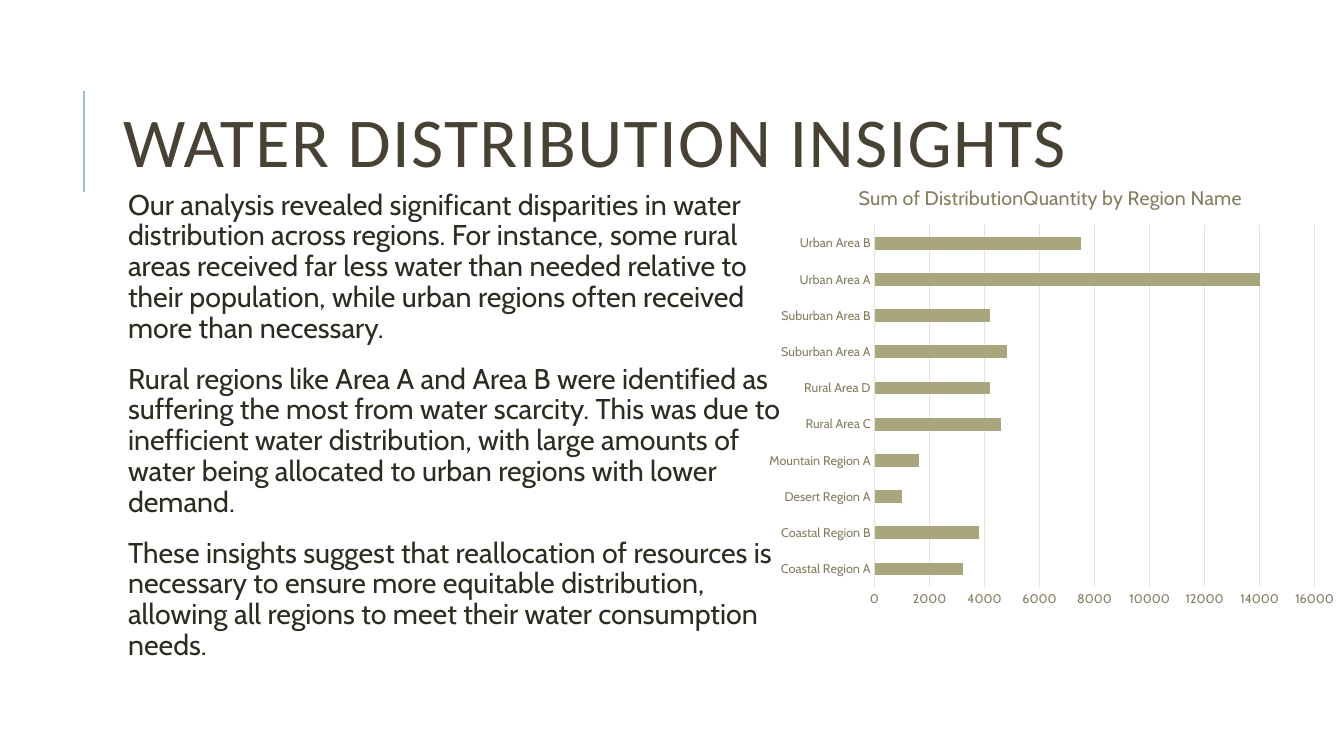
from dataclasses import dataclass

from lxml import etree
from pptx import Presentation
from pptx.chart.data import CategoryChartData
from pptx.dml.color import RGBColor
from pptx.enum.chart import XL_CHART_TYPE, XL_TICK_MARK
from pptx.enum.shapes import MSO_CONNECTOR
from pptx.enum.text import MSO_ANCHOR, MSO_AUTO_SIZE, PP_ALIGN
from pptx.oxml import parse_xml
from pptx.oxml.ns import nsdecls, qn
from pptx.util import Pt

BAR = XL_CHART_TYPE.BAR_CLUSTERED
NO_TICK = XL_TICK_MARK.NONE
STRAIGHT = MSO_CONNECTOR.STRAIGHT
MIDDLE, TOP = MSO_ANCHOR.MIDDLE, MSO_ANCHOR.TOP
NO_FIT = MSO_AUTO_SIZE.NONE
LEFT = PP_ALIGN.LEFT
EMU_PER_PX = 9144  # 100 px to the inch
TITLE_ONLY = 5


@dataclass(frozen=True)
class Theme:
    heading_font: str = "Calibri"
    body_font: str = "Cabin"
    heading: str = "474233"
    body: str = "2E2B21"
    muted: str = "867D60"
    accent: str = "9CBEBD"
    bar: str = "A9A57C"
    grid: str = "E4E2D9"
    heading_size: float = 50
    body_size: float = 20.4
    chart_title_size: float = 14
    axis_size: float = 9


@dataclass(frozen=True)
class Box:
    left: int
    top: int
    width: int
    height: int

    def emu(self) -> tuple[int, int, int, int]:
        return px(self.left), px(self.top), px(self.width), px(self.height)


@dataclass(frozen=True)
class Region:
    name: str
    quantity: int


THEME = Theme()
TITLE_BOX = Box(112, 64, 1063, 164)
BODY_BOX = Box(112, 184, 678, 440)
CHART_BOX = Box(751, 165, 582, 449)
PLOT_SHARE = {"x": 0.2, "y": 0.13, "w": 0.75, "h": 0.8}

TITLE = "WATER DISTRIBUTION INSIGHTS"
CHART_TITLE = "Sum of DistributionQuantity by Region Name"
PARAGRAPHS = [
    "Our analysis revealed significant disparities in water distribution across "
    "regions. For instance, some rural areas received far less water than needed "
    "relative to their population, while urban regions often received more than "
    "necessary.",
    "Rural regions like Area A and Area B were identified as suffering the most "
    "from water scarcity. This was due to inefficient water distribution, with "
    "large amounts of water being allocated to urban regions with lower demand.",
    "These insights suggest that reallocation of resources is necessary to ensure "
    "more equitable distribution, allowing all regions to meet their water "
    "consumption needs.",
]
REGIONS = [
    Region("Coastal Region A", 3200),
    Region("Coastal Region B", 3800),
    Region("Desert Region A", 1000),
    Region("Mountain Region A", 1600),
    Region("Rural Area C", 4600),
    Region("Rural Area D", 4200),
    Region("Suburban Area A", 4800),
    Region("Suburban Area B", 4200),
    Region("Urban Area A", 14000),
    Region("Urban Area B", 7500),
]


def px(n: int) -> int:
    return n * EMU_PER_PX


def apply(target, formats: dict) -> None:
    for name, value in formats.items():
        setattr(target, name, value)


def style_font(font, name: str, size: float, color: str) -> None:
    apply(font, {"name": name, "size": Pt(size), "bold": False})
    font.color.rgb = RGBColor.from_string(color)


def style_line(line, color: str, width: float) -> None:
    line.color.rgb = RGBColor.from_string(color)
    line.width = Pt(width)


def add_accent_line(s) -> None:
    line = s.shapes.add_connector(STRAIGHT, px(83), px(190), px(83), px(90))
    style_line(line.line, THEME.accent, 1.5)
    etree.SubElement(line._element.spPr, qn("a:effectLst"))


def add_title(s) -> None:
    sp = s.shapes.title
    apply(sp, dict(zip(("left", "top", "width", "height"), TITLE_BOX.emu())))
    tf = sp.text_frame
    apply(tf, {"vertical_anchor": MIDDLE, "word_wrap": True, "auto_size": NO_FIT})
    p = tf.paragraphs[0]
    apply(p, {"alignment": LEFT, "line_spacing": 0.8})
    r = p.add_run()
    r.text = TITLE
    style_font(r.font, THEME.heading_font, THEME.heading_size, THEME.heading)
    r._r.get_or_add_rPr().set("spc", "100")


def add_body(s) -> None:
    tf = s.shapes.add_textbox(*BODY_BOX.emu()).text_frame
    apply(tf, {"word_wrap": True, "auto_size": NO_FIT, "vertical_anchor": TOP,
               "margin_left": px(15), "margin_right": px(5),
               "margin_top": px(5), "margin_bottom": px(5)})
    for i, text in enumerate(PARAGRAPHS):
        p = tf.add_paragraph() if i else tf.paragraphs[0]
        apply(p, {"alignment": LEFT, "line_spacing": 0.9,
                  "space_before": Pt(12), "space_after": Pt(2)})
        r = p.add_run()
        r.text = text
        style_font(r.font, THEME.body_font, THEME.body_size, THEME.body)


def place_plot(chart) -> None:
    """Fix the inner plot area as shares of the chart frame."""
    plot_area = chart._chartSpace.chart.plotArea
    for old in plot_area.findall(qn("c:layout")):
        plot_area.remove(old)
    shares = "".join(f'<c:{k} val="{v}"/>' for k, v in PLOT_SHARE.items())
    plot_area.insert(0, parse_xml(
        f'<c:layout {nsdecls("c")}><c:manualLayout><c:layoutTarget val="inner"/>'
        f'<c:xMode val="edge"/><c:yMode val="edge"/>{shares}'
        "</c:manualLayout></c:layout>"))


def add_region_chart(s) -> None:
    data = CategoryChartData()
    data.categories = [region.name for region in REGIONS]
    data.add_series("Series 1", [region.quantity for region in REGIONS])
    chart = s.shapes.add_chart(BAR, *CHART_BOX.emu(), data).chart
    chart.has_legend = False
    style_font(chart.font, THEME.body_font, 10, THEME.body)

    # Chart title
    r = chart.chart_title.text_frame.paragraphs[0].add_run()
    r.text = CHART_TITLE
    style_font(r.font, THEME.body_font, THEME.chart_title_size, THEME.muted)
    chart.chart_title.include_in_layout = False

    # Bars
    plot = chart.plots[0]
    apply(plot, {"gap_width": 182, "vary_by_categories": False})
    fill = plot.series[0].format.fill
    fill.solid()
    fill.fore_color.rgb = RGBColor.from_string(THEME.bar)

    # Axes
    cat, val = chart.category_axis, chart.value_axis
    for axis in (cat, val):
        apply(axis, {"major_tick_mark": NO_TICK, "minor_tick_mark": NO_TICK})
        style_font(axis.tick_labels.font, THEME.body_font, THEME.axis_size,
                   THEME.muted)
    style_line(cat.format.line, THEME.grid, 0.75)
    apply(val, {"minimum_scale": 0, "maximum_scale": 16000, "major_unit": 2000,
                "has_major_gridlines": True})
    val.format.line.fill.background()
    style_line(val.major_gridlines.format.line, THEME.grid, 0.75)
    place_plot(chart)


def main() -> None:
    prs = Presentation()
    apply(prs, {"slide_width": px(1333), "slide_height": px(750)})
    s = prs.slides.add_slide(prs.slide_layouts[TITLE_ONLY])
    add_accent_line(s)
    add_title(s)
    add_body(s)
    add_region_chart(s)
    prs.save("out.pptx")


if __name__ == "__main__":
    main()
